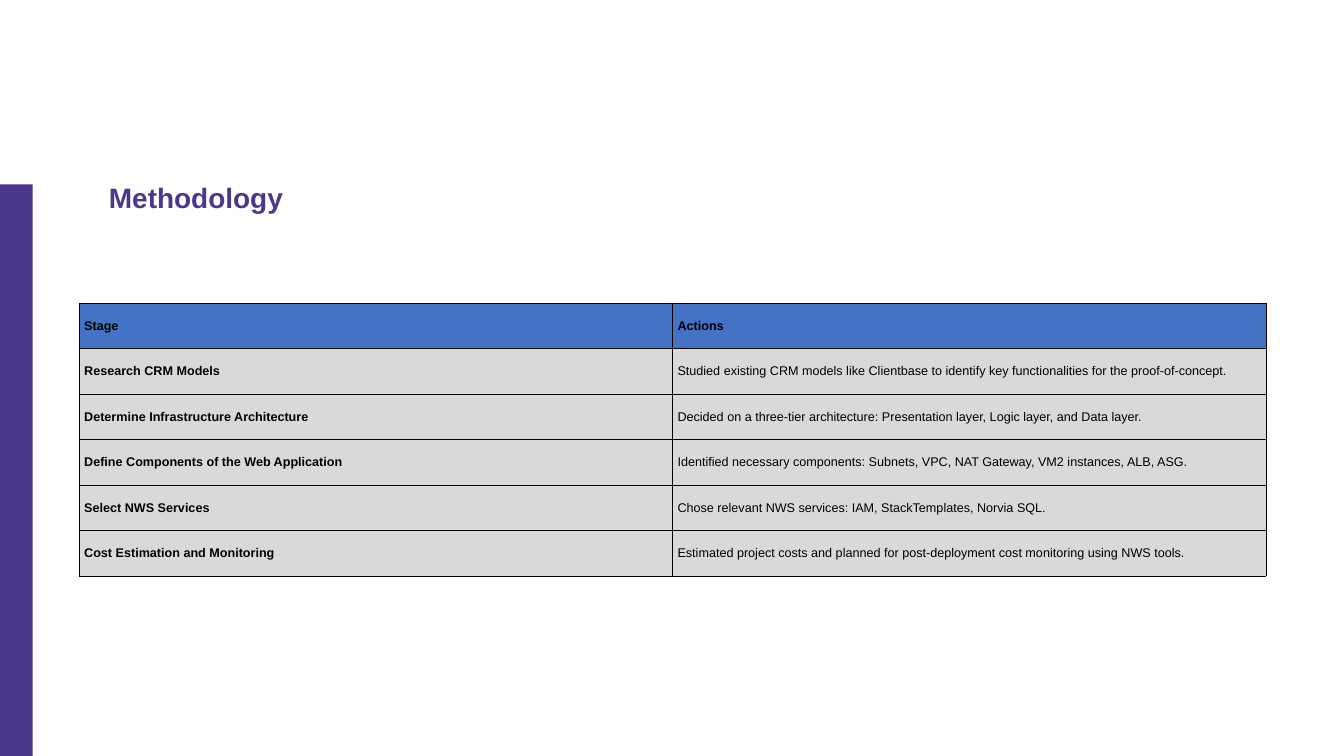
import pptx
from lxml import etree
from pptx.dml.color import RGBColor
from pptx.enum.shapes import MSO_SHAPE
from pptx.enum.text import MSO_ANCHOR, MSO_AUTO_SIZE, PP_ALIGN
from pptx.oxml.ns import qn
from pptx.util import Inches, Pt

COLORS = {
    "purple": "4B378C",
    "white": "FFFFFF",
    "header": "4472C4",
    "body": "D9D9D9",
    "black": "000000",
}
FONT = "Arial"
STAGES = [
    ("Stage", "Actions"),
    ("Research CRM Models",
     "Studied existing CRM models like Clientbase to identify key functionalities for the proof-of-concept."),
    ("Determine Infrastructure Architecture",
     "Decided on a three-tier architecture: Presentation layer, Logic layer, and Data layer."),
    ("Define Components of the Web Application",
     "Identified necessary components: Subnets, VPC, NAT Gateway, VM2 instances, ALB, ASG."),
    ("Select NWS Services",
     "Chose relevant NWS services: IAM, StackTemplates, Norvia SQL."),
    ("Cost Estimation and Monitoring",
     "Estimated project costs and planned for post-deployment cost monitoring using NWS tools."),
]


def rgb(name):
    return RGBColor.from_string(COLORS[name])


def fill_solid(obj, color):
    obj.fill.solid()
    obj.fill.fore_color.rgb = rgb(color)


def style_font(p, size, color, bold):
    p.font.name = FONT
    p.font.size = Pt(size)
    p.font.bold = bold
    p.font.color.rgb = rgb(color)


def add_side_bar(s, left, top, width, height):
    bar = s.shapes.add_shape(MSO_SHAPE.RECTANGLE, Inches(left), Inches(top),
                             Inches(width), Inches(height))
    bar.shadow.inherit = False
    fill_solid(bar, "purple")
    bar.line.fill.background()


def place_title(s, text, left, top, width, height):
    title = s.shapes.title
    title.left, title.top = Inches(left), Inches(top)
    title.width, title.height = Inches(width), Inches(height)
    fill_solid(title, "white")
    tf = title.text_frame
    tf.text = text
    tf.word_wrap = True
    tf.auto_size = MSO_AUTO_SIZE.NONE
    tf.vertical_anchor = MSO_ANCHOR.TOP
    tf.margin_left = tf.margin_top = tf.margin_right = tf.margin_bottom = 0
    p = tf.paragraphs[0]
    p.alignment = PP_ALIGN.LEFT
    p.line_spacing = 0.9
    p.space_before = Pt(10)
    style_font(p, 40, "purple", True)


def set_borders(cell, color, width):
    """Draw a solid line on all four sides of a cell."""
    tc_pr = cell._tc.get_or_add_tcPr()
    for i, side in enumerate(("a:lnL", "a:lnR", "a:lnT", "a:lnB")):
        ln = etree.Element(qn(side), w=str(Pt(width)))
        solid = etree.SubElement(ln, qn("a:solidFill"))
        etree.SubElement(solid, qn("a:srgbClr"), val=COLORS[color])
        tc_pr.insert(i, ln)  # lines must precede the cell fill


def add_stage_table(s, rows, left, top, width, height):
    table = s.shapes.add_table(len(rows), len(rows[0]), Inches(left), Inches(top),
                               Inches(width), Inches(height)).table
    for r, row in enumerate(rows):
        for c, text in enumerate(row):
            cell = table.cell(r, c)
            cell.text = text
            cell.vertical_anchor = MSO_ANCHOR.MIDDLE
            fill_solid(cell, "header" if r == 0 else "body")
            style_font(cell.text_frame.paragraphs[0], 18, "black", r == 0 or c == 0)
            set_borders(cell, "black", 1)


def main():
    prs = pptx.Presentation()
    prs.slide_width, prs.slide_height = Inches(26.66), Inches(15)
    s = prs.slides.add_slide(prs.slide_layouts.get_by_name("Title Only"))
    add_side_bar(s, 0, 3.66, 0.65, 11.34)
    place_title(s, "Methodology", 2.16, 3.66, 13.78, 0.67)
    add_stage_table(s, STAGES, 1.57, 6.01, 23.54, 5.42)
    prs.save("out.pptx")


if __name__ == "__main__":
    main()
